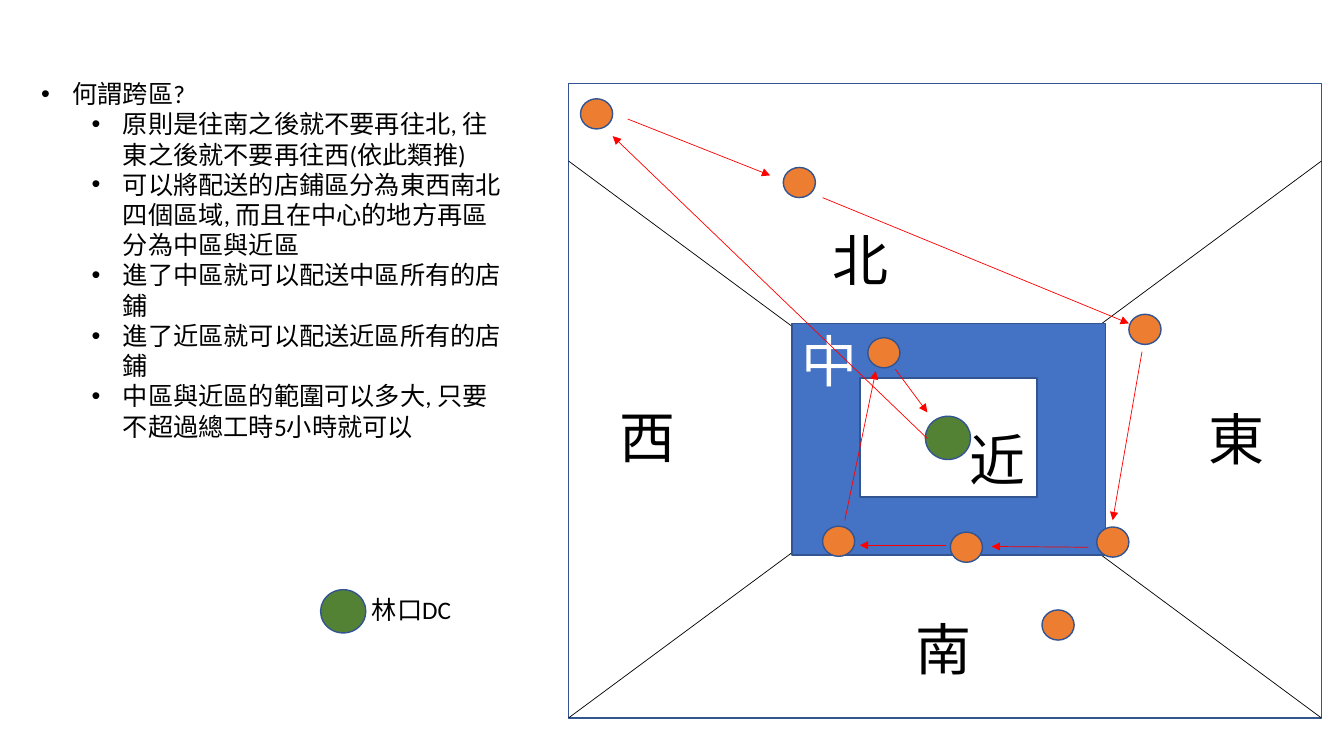
"""Build a slide on delivery zones around a depot and the route through them."""
from lxml import etree
from pptx import Presentation
from pptx.dml.color import RGBColor
from pptx.enum.shapes import MSO_CONNECTOR, MSO_SHAPE
from pptx.enum.text import MSO_AUTO_SIZE, PP_ALIGN
from pptx.oxml.ns import qn
from pptx.util import Cm, Pt

RECT, OVAL = MSO_SHAPE.RECTANGLE, MSO_SHAPE.OVAL
LINE = MSO_CONNECTOR.STRAIGHT
GROW = MSO_AUTO_SIZE.SHAPE_TO_FIT_TEXT
LEFT, CENTER = PP_ALIGN.LEFT, PP_ALIGN.CENTER
BLACK, WHITE, RED = "000000", "FFFFFF", "FF0000"
BLUE, NAVY, GREEN, ORANGE = "4472C4", "325491", "548235", "ED7D31"

color = RGBColor.from_string

deck = Presentation()
deck.slide_width, deck.slide_height = Cm(33.87), Cm(19.05)
slide = deck.slides.add_slide(deck.slide_layouts[6])
shapes = slide.shapes


def add_text(text, box, size=18, hue=BLACK, align=LEFT, bullets=False):
    frame = shapes.add_textbox(*map(Cm, box)).text_frame
    frame.word_wrap = True
    frame.auto_size = GROW
    frame.text = text
    for row, para in enumerate(frame.paragraphs):
        if bullets:
            para.level = min(row, 1)
            props = para._p.get_or_add_pPr()
            props.set("marL", str(Cm(0.79 + 1.27 * para.level)))
            props.set("indent", str(Cm(-0.79)))
            etree.SubElement(props, qn("a:buFont")).set("typeface", "Arial")
            etree.SubElement(props, qn("a:buChar")).set("char", "•")
        para.alignment = align
        para.font.name = "Calibri"
        para.font.size = Pt(size)
        para.font.color.rgb = color(hue)


def add_line(start, end, hue, arrow=False):
    line = shapes.add_connector(LINE, *map(Cm, start + end))
    line.line.color.rgb = color(hue)
    line.line.width = Pt(0.5)
    if arrow:
        tail = etree.SubElement(line.line._get_or_add_ln(), qn("a:tailEnd"))
        tail.set("type", "triangle")
    etree.SubElement(line._element.spPr, qn("a:effectLst"))


left, top, width, height = region = (14.33, 2.11, 18.97, 15.98)
right, base, upper = left + width, top + height, 4.06
diagonals = [((left, upper), (right, base)), ((right, upper), (left, base))]

stores = [(19.74, 4.22), (27.64, 13.28), (23.95, 13.41), (20.73, 13.26),
          (14.63, 2.49), (28.45, 7.92), (21.87, 8.51), (26.26, 15.37)]
depots = [(23.32, 10.49), (8.08, 14.86)]

areas = [(RECT, region, WHITE),
         (RECT, (19.96, 8.15, 7.9, 5.84), BLUE),
         (RECT, (21.67, 9.53, 4.47, 3), WHITE)]
areas += [(OVAL, spot + (1.14, 1.09), GREEN) for spot in depots]
areas += [(OVAL, spot + (0.81, 0.76), ORANGE) for spot in stores]

for kind, box, fill in areas:
    shape = shapes.add_shape(kind, *map(Cm, box))
    shape.shadow.inherit = False
    shape.fill.solid()
    shape.fill.fore_color.rgb = color(fill)
    shape.line.color.rgb = color(NAVY)
    shape.line.width = Pt(1)
    if box == region:
        for start, end in diagonals:
            add_line(start, end, BLACK)

zones = [("北", 20.73, 5.56, 4.75, BLACK),
         ("南", 22.83, 15.37, 4.75, BLACK),
         ("東", 30.2, 10.08, 3.6, BLACK),
         ("西", 15.37, 10.03, 4.75, BLACK),
         ("中", 19.96, 8.1, 5.23, WHITE),
         ("近", 24.18, 10.59, 2.08, BLACK)]
for name, x, y, wide, hue in zones:
    add_text(name, (x, y, wide, 1.96), size=40, hue=hue)

route = [((23.37, 11.05), (15.44, 3.43)),
         ((15.82, 3), (19.41, 4.42)),
         ((20.73, 4.98), (28.45, 8.15)),
         ((28.78, 8.86), (28.04, 13.11)),
         ((27.43, 13.79), (24.99, 13.77)),
         ((23.83, 13.74), (21.67, 13.74)),
         ((21.29, 13.11), (22.07, 9.35)),
         ((22.56, 9.3), (23.37, 10.39))]
for start, end in route:
    add_line(start, end, RED, arrow=True)

rules = ["何謂跨區?",
         "原則是往南之後就不要再往北, 往東之後就不要再往西(依此類推)",
         "可以將配送的店鋪區分為東西南北四個區域, 而且在中心的地方再區分為中區與近區",
         "進了中區就可以配送中區所有的店鋪",
         "進了近區就可以配送近區所有的店鋪",
         "中區與近區的範圍可以多大, 只要不超過總工時5小時就可以"]
add_text("\n".join(rules), (0.79, 1.85, 12.14, 9.5), bullets=True)
add_text("林口DC", (8.86, 14.86, 3.02, 1.02), align=CENTER)

deck.save("out.pptx")
